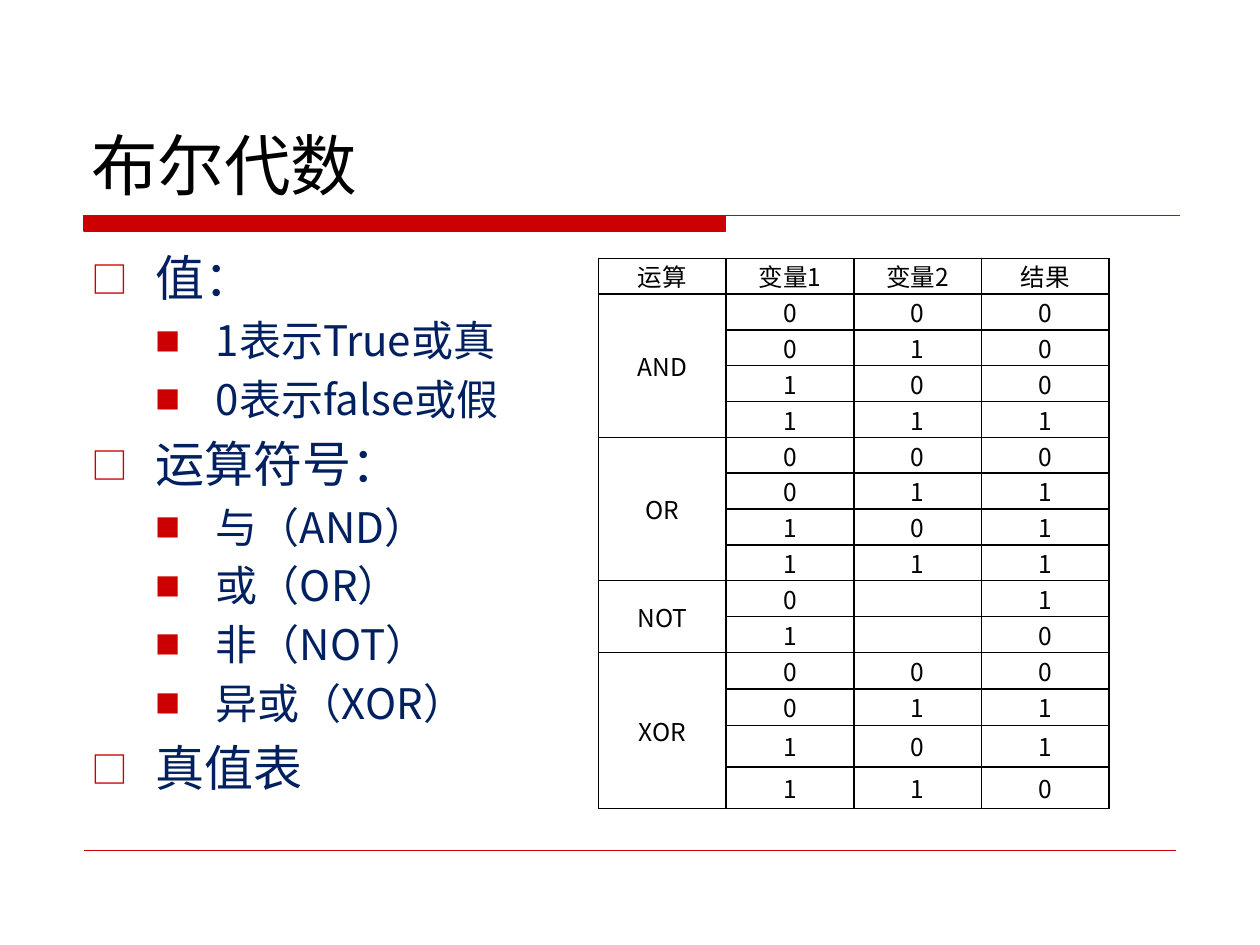
from dataclasses import dataclass

from lxml.etree import SubElement
from pptx import Presentation
from pptx.dml.color import RGBColor
from pptx.enum.shapes import MSO_CONNECTOR as Connector
from pptx.enum.text import MSO_ANCHOR as Anchor, PP_ALIGN as Align
from pptx.oxml.ns import qn
from pptx.util import Inches, Pt


@dataclass(frozen=True)
class Theme:
    font: str = "Noto Sans CJK SC"
    ink: str = "000000"
    navy: str = "002060"
    red: str = "CC0000"
    title: int = 38
    levels: tuple = (28, 24)
    cell: int = 14


# Outline: level and text
OUTLINE = [
    (0, "值："),
    (1, "1表示True或真"),
    (1, "0表示false或假"),
    (0, "运算符号："),
    (1, "与（AND）"),
    (1, "或（OR）"),
    (1, "非（NOT）"),
    (1, "异或（XOR）"),
    (0, "真值表"),
]
HEADER = ["运算", "变量1", "变量2", "结果"]
# Each row reads: variable 1, variable 2, result
TRUTH = {
    "AND": ["000", "010", "100", "111"],
    "OR": ["000", "011", "101", "111"],
    "NOT": ["0 1", "1 0"],
    "XOR": ["000", "011", "101", "110"],
}
ROW_HEIGHTS = [3.13 / 11] * 11 + [0.29] * 2 + [0.33] * 2


class SlideBuilder:
    """Places elements on a grid of 120 columns by 90 rows."""

    COLUMNS, ROWS = 120, 90
    # Mark, text indent, hanging indent and share of the text size in percent
    BULLETS = (("□", 0.51, 0.51, 75), ("■", 0.99, 0.48, 60))

    def __init__(self, deck, theme):
        self.deck, self.theme = deck, theme
        self.page = deck.slides.add_slide(deck.slide_layouts[6])

    def x(self, columns):
        return round(self.deck.slide_width * columns / self.COLUMNS)

    def y(self, rows):
        return round(self.deck.slide_height * rows / self.ROWS)

    def span(self, para, text, size, color):
        span = para.add_run()
        span.text = text
        span.font.size = Pt(size)
        span.font.name = self.theme.font
        span.font.color.rgb = RGBColor.from_string(color)
        SubElement(span.font._element, qn("a:ea"), typeface=self.theme.font)

    def text_box(self, left, top, width, height, anchor=Anchor.TOP):
        box = self.page.shapes.add_textbox(
            self.x(left), self.y(top), self.x(width), self.y(height))
        box.text_frame.word_wrap = True
        box.text_frame.vertical_anchor = anchor
        return box.text_frame

    def title(self, text, *place):
        frame = self.text_box(*place, anchor=Anchor.BOTTOM)
        self.span(frame.paragraphs[0], text, self.theme.title, self.theme.ink)

    def outline(self, items, *place):
        frame = self.text_box(*place)
        for index, (level, text) in enumerate(items):
            para = frame.add_paragraph() if index else frame.paragraphs[0]
            size = self.theme.levels[level]
            para.level = level
            if index:
                para.space_before = Pt(round(size * 0.2, 1))
            self.bullet(para, level)
            self.span(para, text, size, self.theme.navy)

    def bullet(self, para, level):
        mark, margin, hanging, share = self.BULLETS[level]
        props = para._p.get_or_add_pPr()
        props.set("marL", str(Inches(margin)))
        props.set("indent", str(-Inches(hanging)))
        color = SubElement(props, qn("a:buClr"))
        SubElement(color, qn("a:srgbClr"), val=self.theme.red)
        SubElement(props, qn("a:buSzPct"), val=str(share * 1000))
        SubElement(props, qn("a:buFont"), typeface=self.theme.font)
        SubElement(props, qn("a:buChar"), char=mark)

    def title_rule(self, left, top, bar_right, bottom, right):
        x0, x1, x2 = self.x(left), self.x(bar_right), self.x(right)
        y0, y1 = self.y(top), self.y(bottom)
        builder = self.page.shapes.build_freeform(x0, y0)
        builder.add_line_segments([(x1, y0), (x1, y1), (x0, y1)])
        builder.move_to(x0, y0)
        builder.add_line_segments([(x2, y0)], close=False)
        rule = builder.convert_to_shape()
        rule.shadow.inherit = False
        rule.fill.solid()
        rule.fill.fore_color.rgb = RGBColor.from_string(self.theme.red)
        self.stroke(rule.line, 0.75)

    def stroke(self, line, width):
        line.color.rgb = RGBColor.from_string(self.theme.red)
        line.width = Pt(width)

    def footer_line(self, left, right, row):
        line = self.page.shapes.add_connector(
            Connector.STRAIGHT, self.x(left), self.y(row), self.x(right), self.y(row))
        self.stroke(line.line, 0.25)
        SubElement(line._element.spPr, qn("a:effectLst"))

    def truth_table(self, header, groups, heights, left, top, column):
        frame = self.page.shapes.add_table(
            len(heights), len(header), self.x(left), self.y(top),
            self.x(column * len(header)), Inches(sum(heights)))
        table = frame.table
        table.first_row = table.horz_banding = False
        for table_column in table.columns:
            table_column.width = self.x(column)
        for table_row, height in zip(table.rows, heights):
            table_row.height = Inches(height)

        # One list of rows, with the operator on the first row of its group
        rows = [header]
        for name, values in groups.items():
            table.cell(len(rows), 0).merge(table.cell(len(rows) + len(values) - 1, 0))
            rows += [[name if not i else "", *bits] for i, bits in enumerate(values)]
        for r, row in enumerate(rows):
            for c, text in enumerate(row):
                self.cell(table.cell(r, c), text.strip())

    def cell(self, cell, text):
        cell.margin_left = cell.margin_right = Inches(0.07)
        cell.margin_top = cell.margin_bottom = 0
        cell.vertical_anchor = Anchor.MIDDLE
        para = cell.text_frame.paragraphs[0]
        para.alignment = Align.CENTER
        if text:
            self.span(para, text, self.theme.cell, self.theme.ink)
        else:
            SubElement(para._p, qn("a:endParaRPr"), sz=str(self.theme.cell * 100))
        props = cell._tc.get_or_add_tcPr()
        for side in ("lnL", "lnR", "lnT", "lnB"):
            edge = SubElement(props, qn(f"a:{side}"), w=str(Pt(1)))
            fill = SubElement(edge, qn("a:solidFill"))
            SubElement(fill, qn("a:srgbClr"), val=self.theme.ink)
        cell.fill.background()


def main():
    deck = Presentation()
    deck.slide_width, deck.slide_height = Inches(10), Inches(7.5)
    slide = SlideBuilder(deck, Theme())

    # Rules above and below the content
    slide.title_rule(left=8, top=20.5, bar_right=69.1, bottom=22, right=112.4)
    slide.footer_line(left=8, right=112, row=81)

    # Title, outline and truth table
    slide.title("布尔代数", 7.5, 4, 105, 16)
    slide.outline(OUTLINE, 7.5, 23, 51.5, 56)
    slide.truth_table(HEADER, TRUTH, ROW_HEIGHTS, left=57, top=24.6, column=12.16)

    deck.save("out.pptx")


if __name__ == "__main__":
    main()
